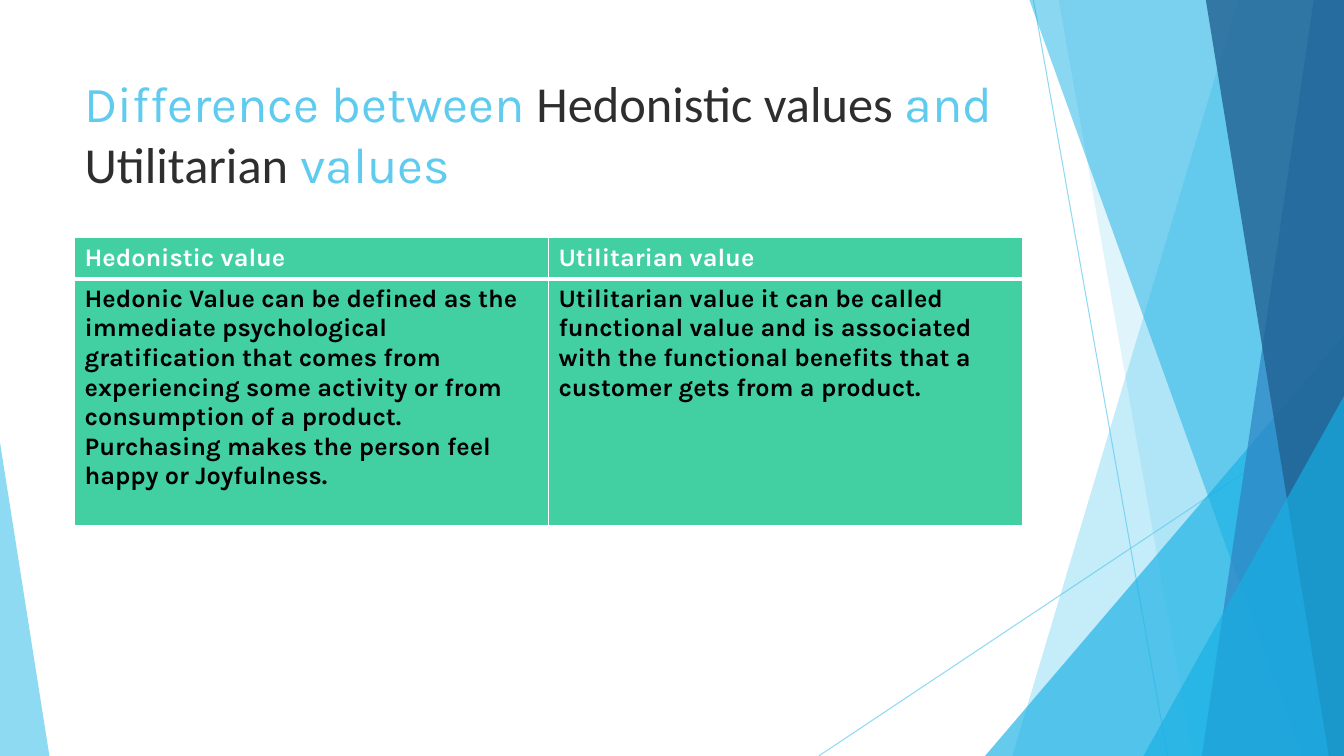
import pptx
import pptx.dml.color
import pptx.enum.shapes
import pptx.enum.text
import pptx.oxml
import pptx.oxml.ns
import pptx.util
from dataclasses import dataclass


@dataclass(frozen=True)
class Theme:
    sky: str = "5FCBEF"
    cyan: str = "17B0E4"
    blue: str = "2E83C3"
    navy: str = "226292"
    ink: str = "2E2E2E"
    black: str = "000000"
    white: str = "FFFFFF"
    green: str = "42D0A2"
    heading_font: str = "Calibri"
    body_font: str = "Karla"
    title_size: int = 36
    table_size: int = 18


THEME = Theme()

# The grid has square cells of one inch
COLUMNS, ROWS = 13.33, 7.5
LEFT, CONTENT_WIDTH = 0.74, 9.4


def cells(count):
    return pptx.util.Inches(count)


def rgb(code):
    return pptx.dml.color.RGBColor.from_string(code)


def set_alpha(parent, percent):
    color = next(parent.iter(pptx.oxml.ns.qn("a:srgbClr")))
    alpha = color.makeelement(pptx.oxml.ns.qn("a:alpha"), {"val": str(percent * 1000)})
    color.append(alpha)


def paint(shape, color, alpha):
    shape.shadow.inherit = False
    shape.fill.solid()
    shape.fill.fore_color.rgb = rgb(color)
    set_alpha(shape._element.spPr, alpha)
    shape.line.fill.background()


def add_band(slide, top_left, bottom_left, color, alpha):
    """Slanted band that reaches the right edge of the slide."""
    builder = slide.shapes.build_freeform(cells(top_left), 0)
    corners = [(COLUMNS, 0), (COLUMNS, ROWS), (bottom_left, ROWS)]
    builder.add_line_segments([(cells(x), cells(y)) for x, y in corners])
    paint(builder.convert_to_shape(), color, alpha)


def add_corner(slide, left, top, width, apex, color, alpha):
    """Triangle that stands on the bottom edge of the slide."""
    shape = slide.shapes.add_shape(
        pptx.enum.shapes.MSO_SHAPE.ISOSCELES_TRIANGLE,
        cells(left), cells(top), cells(width), cells(ROWS - top))
    shape.adjustments[0] = apex
    paint(shape, color, alpha)


def add_hairline(slide, start, end):
    line = slide.shapes.add_connector(
        pptx.enum.shapes.MSO_CONNECTOR.STRAIGHT, *map(cells, start + end))
    line.line.width = pptx.util.Pt(0.75)
    line.line.color.rgb = rgb(THEME.sky)
    properties = line._element.spPr
    set_alpha(properties, 70)
    properties.append(properties.makeelement(pptx.oxml.ns.qn("a:effectLst"), {}))


def add_run(paragraph, text, color, **font_format):
    run = paragraph.add_run()
    run.text = text
    run.font.color.rgb = rgb(color)
    for name, value in font_format.items():
        setattr(run.font, name, value)


def add_title(slide, parts):
    box = slide.shapes.add_textbox(
        cells(LEFT), cells(0.67), cells(CONTENT_WIDTH), cells(1.44))
    box.text_frame.word_wrap = True
    box.text_frame.vertical_anchor = pptx.enum.text.MSO_ANCHOR.TOP
    paragraph = box.text_frame.paragraphs[0]
    for text, font, color in parts:
        add_run(paragraph, text, color, name=font, size=pptx.util.Pt(THEME.title_size))


def add_borders(cell, widths):
    properties = cell._tc.get_or_add_tcPr()
    for position, (side, points) in enumerate(widths.items()):
        properties.insert(position, pptx.oxml.parse_xml(
            f'<a:ln{side} {pptx.oxml.ns.nsdecls("a")} w="{pptx.util.Pt(points)}">'
            f'<a:solidFill><a:srgbClr val="{THEME.white}"/></a:solidFill></a:ln{side}>'))


def add_comparison(slide, rows, row_heights):
    frame = slide.shapes.add_table(
        len(rows), len(rows[0]), cells(LEFT), cells(2.36),
        cells(CONTENT_WIDTH), cells(sum(row_heights)))
    table = frame.table
    for row_index, (texts, height) in enumerate(zip(rows, row_heights)):
        is_header = row_index == 0
        table.rows[row_index].height = cells(height)
        widths = {"L": 1, "R": 1, "T": 1, "B": 3} if is_header else {
            "L": 1, "R": 1, "T": 3, "B": 1}
        for column_index, text in enumerate(texts):
            cell = table.cell(row_index, column_index)
            cell.fill.solid()
            cell.fill.fore_color.rgb = rgb(THEME.green)
            add_borders(cell, widths)
            add_run(cell.text_frame.paragraphs[0], text,
                    THEME.white if is_header else THEME.black,
                    name=THEME.body_font, bold=True,
                    size=pptx.util.Pt(THEME.table_size))


def add_backdrop(slide):
    add_hairline(slide, (10.25, 0), (11.58, ROWS))
    add_hairline(slide, (COLUMNS, 4.03), (8.12, ROWS))
    add_band(slide, 12.28, 10.04, THEME.sky, 36)
    add_band(slide, 10.5, 11.83, THEME.sky, 20)
    add_corner(slide, 9.77, 3.33, 3.56, 1, THEME.cyan, 66)
    add_band(slide, 10.21, 12.91, THEME.cyan, 50)
    add_band(slide, 13.03, 11.92, THEME.blue, 70)
    add_band(slide, 11.96, 13.18, THEME.navy, 80)
    add_corner(slide, 11.34, 3.93, 1.99, 1, THEME.cyan, 66)
    add_corner(slide, 0, 4.39, 0.49, 0, THEME.sky, 70)


def main():
    presentation = pptx.Presentation()
    presentation.slide_width = cells(COLUMNS)
    presentation.slide_height = cells(ROWS)
    slide = presentation.slides.add_slide(presentation.slide_layouts[6])

    add_backdrop(slide)

    # Title with two alternating styles
    plain = (THEME.body_font, THEME.sky)
    strong = (THEME.heading_font, THEME.ink)
    add_title(slide, [
        ("Difference between", *plain),
        (" Hedonistic values ", *strong),
        ("and", *plain),
        (" Utilitarian", *strong),
        (" values", *plain),
    ])

    # Comparison table
    add_comparison(slide, [
        ("Hedonistic value", "Utilitarian value"),
        ("Hedonic Value can be defined as the immediate psychological "
         "gratification that comes from experiencing some activity or from "
         "consumption of a product. Purchasing makes the person feel happy "
         "or Joyfulness.",
         "Utilitarian value it can be called functional value and is "
         "associated with the functional benefits that a customer gets "
         "from a product."),
    ], row_heights=(0.41, 2.44))

    presentation.save("out.pptx")


if __name__ == "__main__":
    main()
